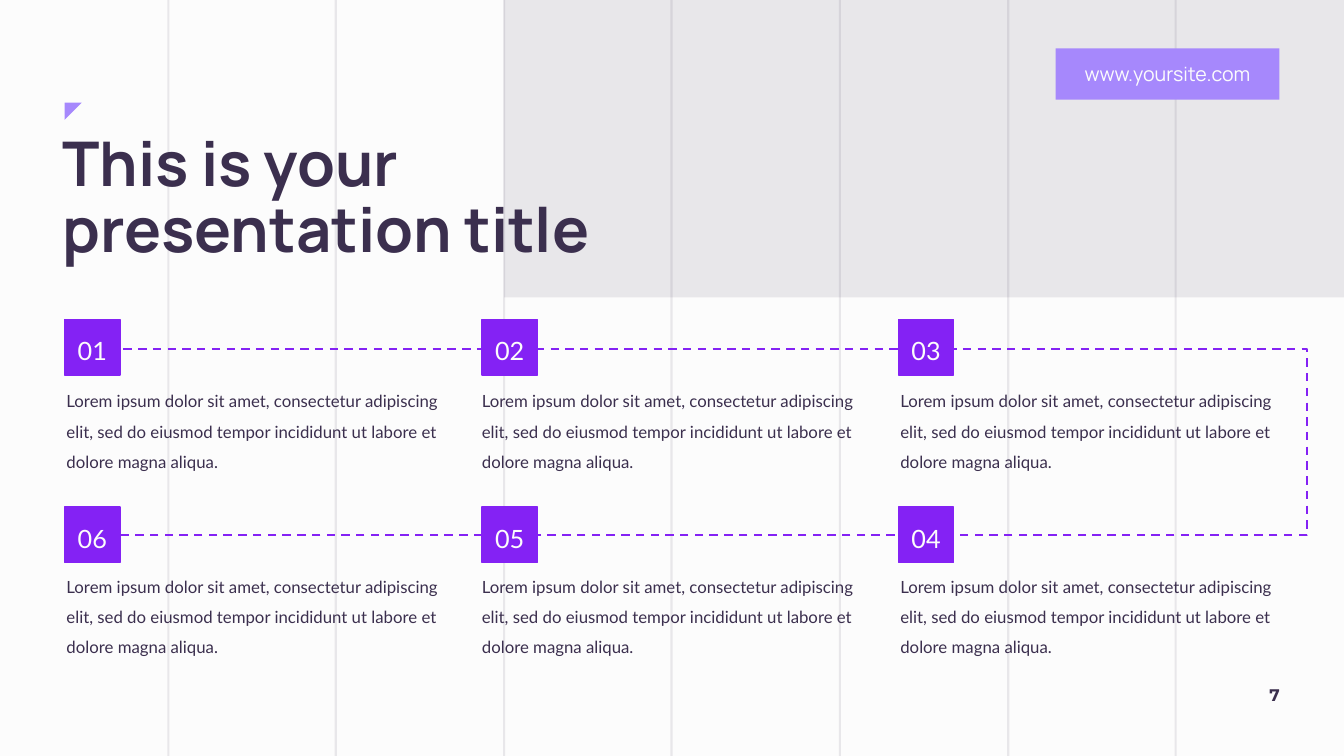
from lxml.etree import SubElement
from pptx import Presentation
from pptx.dml.color import RGBColor
from pptx.enum.dml import MSO_LINE
from pptx.enum.shapes import MSO_CONNECTOR, MSO_SHAPE
from pptx.enum.text import MSO_ANCHOR, MSO_AUTO_SIZE, PP_ALIGN
from pptx.oxml.ns import qn
from pptx.util import Pt

PX = 9144
WIDTH, HEIGHT = 1333, 750
COLORS = {
    "paper": "FCFCFC",
    "ink": "3B2F4E",
    "violet": "8422F4",
    "lilac": "A688FC",
}
FONTS = {
    "title": {"name": "Manrope", "size": Pt(44), "bold": True},
    "body": {"name": "Lato", "size": Pt(12)},
    "number": {"name": "Lato", "size": Pt(18)},
    "site": {"name": "Manrope", "size": Pt(14)},
    "page": {"name": "Montserrat", "size": Pt(12), "bold": True},
}
TIGHT = {"margin_left": 0, "margin_top": 0, "margin_right": 0, "margin_bottom": 0}
GROW = {"auto_size": MSO_AUTO_SIZE.SHAPE_TO_FIT_TEXT}
MIDDLE = {"vertical_anchor": MSO_ANCHOR.MIDDLE}
BODY = (
    "Lorem ipsum dolor sit amet, consectetur adipiscing elit, "
    "sed do eiusmod tempor incididunt ut labore et dolore magna aliqua."
)
SQUARE_LEFTS = (64, 478, 891)
BODY_LEFTS = (66, 478, 893)
STEP_ROWS = (
    (317, 378, ("01", "02", "03")),
    (503, 562, ("06", "05", "04")),
)


def emu(*lengths):
    return [length * PX for length in lengths]


def rgb(color):
    return RGBColor.from_string(COLORS[color])


def set_values(target, values):
    for name, value in values.items():
        setattr(target, name, value)


def set_opacity(element, percent):
    for color in element.iter(qn("a:srgbClr")):
        SubElement(color, qn("a:alpha"), val=str(percent * 1000))


def write(shape, text, font, color, frame_values, para_values):
    frame = shape.text_frame
    set_values(frame, {"word_wrap": True, **frame_values})
    para = frame.paragraphs[0]
    set_values(para, para_values)
    span = para.add_run()
    span.text = text
    set_values(span.font, FONTS[font])
    span.font.color.rgb = rgb(color)


def add_text(page, place, text, font, frame_values, para_values):
    box = page.shapes.add_textbox(*emu(*place))
    write(box, text, font, "ink", frame_values, para_values)


def add_block(page, place, color, kind=MSO_SHAPE.RECTANGLE):
    block = page.shapes.add_shape(kind, *emu(*place))
    block.shadow.inherit = False
    block.fill.solid()
    block.fill.fore_color.rgb = rgb(color)
    block.line.fill.background()
    return block


def add_background(page):
    page.background.fill.solid()
    page.background.fill.fore_color.rgb = rgb("paper")
    panel = add_block(page, (500, 0, WIDTH - 500, 295), "ink")
    set_opacity(panel.element, 10)
    for index in range(1, 8):
        left = round(index * WIDTH / 8)
        rule = page.shapes.add_connector(
            MSO_CONNECTOR.STRAIGHT, *emu(left, 0, left, HEIGHT)
        )
        rule.line.width = Pt(1.5)
        rule.line.color.rgb = rgb("ink")
        properties = rule.element.spPr
        set_opacity(properties, 10)
        SubElement(properties, qn("a:effectLst"))
    corner = add_block(page, (64, 102, 17, 17), "lilac", MSO_SHAPE.RIGHT_TRIANGLE)
    corner.element.spPr.xfrm.set("flipV", "1")


def add_route(page):
    builder = page.shapes.build_freeform(64, 346, scale=PX)
    builder.add_line_segments([(1296, 346), (1296, 531), (64, 531)], close=False)
    route = builder.convert_to_shape()
    route.shadow.inherit = False
    route.fill.background()
    route.line.color.rgb = rgb("violet")
    set_values(route.line, {"width": Pt(1.5), "dash_style": MSO_LINE.DASH})


def add_number(page, left, top, number):
    square = add_block(page, (left, top, 55, 55), "violet")
    square.line.color.rgb = rgb("violet")
    square.line.width = Pt(1)
    write(
        square, number, "number", "paper",
        {**TIGHT, **MIDDLE, "margin_bottom": 8 * PX},
        {"alignment": PP_ALIGN.CENTER, "line_spacing": 1.5},
    )


def add_steps(page):
    for square_top, body_top, numbers in STEP_ROWS:
        for square_left, body_left, number in zip(SQUARE_LEFTS, BODY_LEFTS, numbers):
            add_text(
                page, (body_left, body_top, 376, 87), BODY, "body",
                {**TIGHT, **GROW}, {"line_spacing": 1.5},
            )
            add_number(page, square_left, square_top, number)


def add_site(page):
    badge = add_block(page, (1047, 48, 222, 51), "lilac")
    write(
        badge, "www.yoursite.com", "site", "paper",
        MIDDLE, {"alignment": PP_ALIGN.CENTER},
    )


def main():
    deck = Presentation()
    set_values(deck, {"slide_width": WIDTH * PX, "slide_height": HEIGHT * PX})
    page = deck.slides.add_slide(deck.slide_layouts[6])
    add_background(page)
    add_text(
        page, (52, 127, 727, 158), "This is your presentation title", "title",
        GROW, {"line_spacing": 0.9},
    )
    add_route(page)
    add_steps(page)
    add_site(page)
    add_text(
        page, (1234, 669, 45, 40), "7", "page",
        MIDDLE, {"alignment": PP_ALIGN.RIGHT},
    )
    deck.save("out.pptx")


if __name__ == "__main__":
    main()
